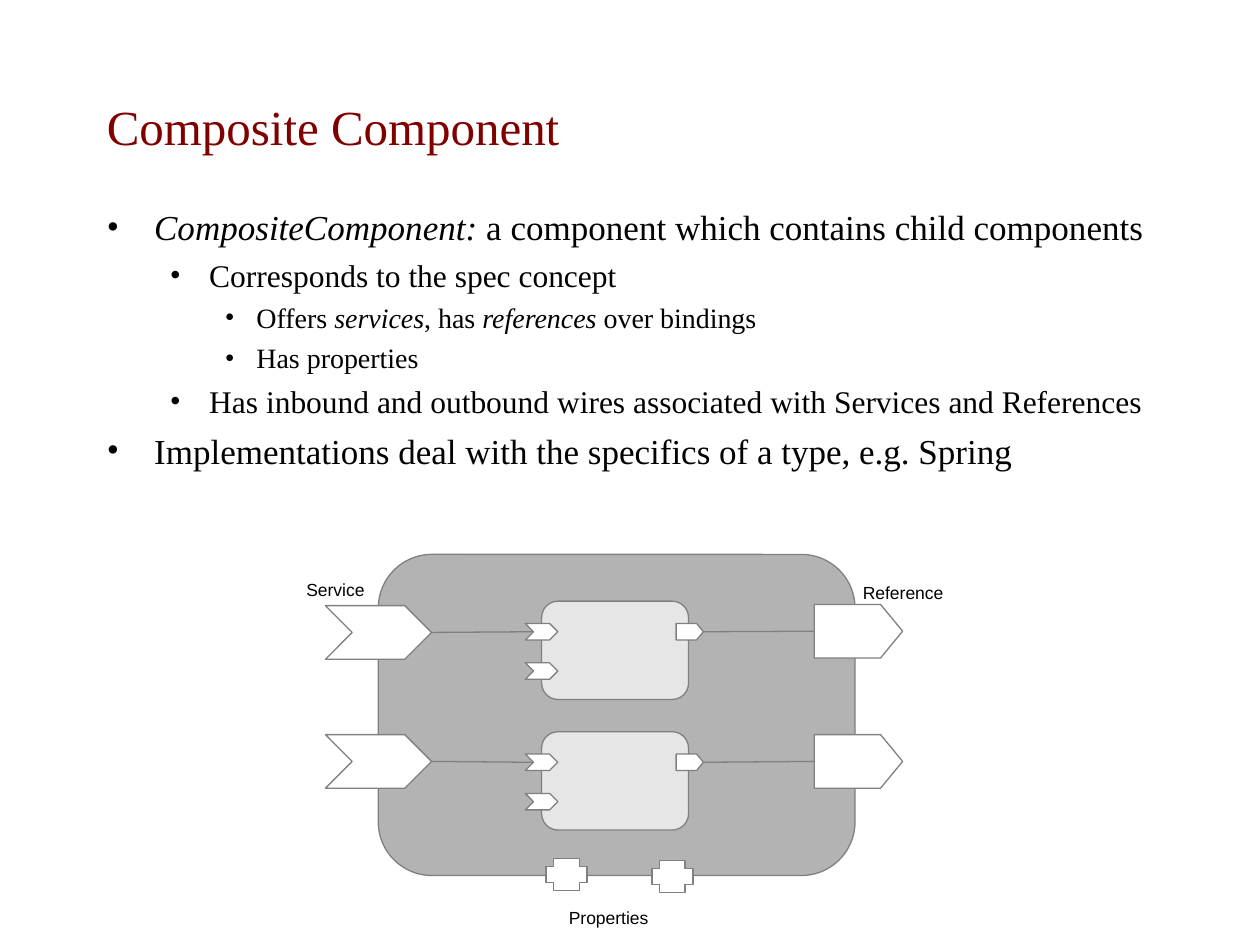
from lxml import etree
from pptx import Presentation
from pptx.dml.color import RGBColor
from pptx.enum.shapes import MSO_CONNECTOR, MSO_SHAPE
from pptx.enum.text import MSO_ANCHOR
from pptx.oxml.ns import qn
from pptx.util import Pt

ROUNDED = MSO_SHAPE.ROUNDED_RECTANGLE
PLUS = MSO_SHAPE.CROSS
STRAIGHT = MSO_CONNECTOR.STRAIGHT
TOP, MIDDLE = MSO_ANCHOR.TOP, MSO_ANCHOR.MIDDLE

BLACK = RGBColor(0x00, 0x00, 0x00)
WHITE = RGBColor(0xFF, 0xFF, 0xFF)
MAROON = RGBColor(0x80, 0x00, 0x00)
OUTLINE = RGBColor(0x80, 0x80, 0x80)
COMPOSITE_GRAY = RGBColor(0xB3, 0xB3, 0xB3)
COMPONENT_GRAY = RGBColor(0xE6, 0xE6, 0xE6)

SERIF, SANS = "Times New Roman", "Arial"

# Per level: left margin, hanging indent, space before, text size
LEVELS = [(27, 27, 5, 20), (58.5, 22.5, 4.5, 18), (85.5, 18, 4, 16)]

# Each bullet is a level and its spans; a span is its text and whether it is italic
BULLETS = [
    (0, [("CompositeComponent:", True),
         (" a component which contains child components", False)]),
    (1, [("Corresponds to the spec concept", False)]),
    (2, [("Offers ", False), ("services", True), (", has ", False),
         ("references", True), (" over bindings", False)]),
    (2, [("Has properties", False)]),
    (1, [("Has inbound and outbound wires associated with Services and References", False)]),
    (0, [("Implementations deal with the specifics of a type, e.g. Spring", False)]),
]


def add_span(para, text, size=10, font=SANS, color=BLACK, italic=False):
    span = para.add_run()
    span.text = text
    span.font.size = Pt(size)
    span.font.name = font
    span.font.color.rgb = color
    span.font.italic = italic


class SlideBuilder:
    def __init__(self, page):
        self.page = page
        self.line_width = Pt(0.75)

    def paint(self, shape, fill):
        shape.shadow.inherit = False
        shape.fill.solid()
        shape.fill.fore_color.rgb = fill
        shape.line.color.rgb = OUTLINE
        shape.line.width = self.line_width

    def frame(self, left, top, width, height, wrap=True, anchor=TOP):
        box = self.page.shapes.add_textbox(Pt(left), Pt(top), Pt(width), Pt(height))
        box.text_frame.word_wrap = wrap
        box.text_frame.vertical_anchor = anchor
        return box.text_frame

    def text(self, text, left, top, width, height, wrap=True, anchor=TOP, **style):
        frame = self.frame(left, top, width, height, wrap, anchor)
        add_span(frame.paragraphs[0], text, **style)

    def bullets(self, items, left, top, width, height):
        frame = self.frame(left, top, width, height)
        for index, (level, spans) in enumerate(items):
            para = frame.add_paragraph() if index else frame.paragraphs[0]
            margin, hanging, before, size = LEVELS[level]
            para.level = level
            if index:
                para.space_before = Pt(before)
            props = para._p.get_or_add_pPr()
            props.set("marL", str(Pt(margin)))
            props.set("indent", str(-Pt(hanging)))
            color = etree.SubElement(props, qn("a:buClr"))
            etree.SubElement(color, qn("a:srgbClr"), val=str(BLACK))
            etree.SubElement(props, qn("a:buFont"), typeface=SERIF)
            etree.SubElement(props, qn("a:buChar"), char="•")
            for text, italic in spans:
                add_span(para, text, size=size, font=SERIF, italic=italic)

    def preset(self, kind, left, top, width, height, fill, adjust, shapes=None):
        shapes = shapes or self.page.shapes
        shape = shapes.add_shape(kind, Pt(left), Pt(top), Pt(width), Pt(height))
        shape.adjustments[0] = adjust
        self.paint(shape, fill)

    def pointer(self, left, top, width, height, tip, notch=0, shapes=None):
        """Draw a right-pointing tag, with an optional notch in its left side."""
        shapes = shapes or self.page.shapes
        right, bottom, middle = left + width, top + height, top + height / 2
        points = [(left, top), (right - tip, top), (right, middle),
                  (right - tip, bottom), (left, bottom)]
        if notch:
            points.append((left + notch, middle))
        points = [(Pt(x), Pt(y)) for x, y in points]
        builder = shapes.build_freeform(*points[0])
        builder.add_line_segments(points[1:], close=True)
        self.paint(builder.convert_to_shape(), WHITE)

    def component(self, top):
        """Draw a child component with two services and one reference."""
        shapes = self.page.shapes.add_group_shape().shapes
        self.preset(ROUNDED, 309.5, top, 84, 56.2, COMPONENT_GRAY, 0.167, shapes)
        for offset in (12.8, 35.3):
            self.pointer(300.2, top + offset, 18.6, 9.4, 4.7, 4.7, shapes)
        self.pointer(386.4, top + 12.8, 15.6, 9.4, 3.9, shapes=shapes)

    def wire(self, x1, y1, x2, y2):
        line = self.page.shapes.add_connector(STRAIGHT, Pt(x1), Pt(y1), Pt(x2), Pt(y2))
        line.line.color.rgb = OUTLINE
        line.line.width = self.line_width
        etree.SubElement(line._element.spPr, qn("a:effectLst"))


def main():
    deck = Presentation()
    deck.slide_width, deck.slide_height = Pt(720), Pt(540)
    builder = SlideBuilder(deck.slides.add_slide(deck.slide_layouts[6]))

    builder.text("Composite Component", 54, 36, 612, 72, anchor=MIDDLE,
                 size=28, font=SERIF, color=MAROON)
    builder.bullets(BULLETS, 54, 114, 612, 348)

    builder.preset(ROUNDED, 216.2, 316.8, 272.4, 183.5, COMPOSITE_GRAY, 0.167)
    service_tops, reference_tops = (346.1, 419.8), (345.4, 419.8)
    for top in service_tops:
        builder.pointer(186, top, 60.6, 30.6, 15.3, 15.3)
    for top in reference_tops:
        builder.pointer(465.3, top, 50.5, 30.6, 12.6)
    for left, top in ((312, 490.7), (372.5, 491.8)):
        builder.preset(PLUS, left, top, 23.5, 18, WHITE, 0.25)

    builder.text("Reference", 486, 329, 60.5, 19.4, wrap=False)
    builder.text("Service", 168, 327.6, 72, 19.4)
    builder.text("Properties", 318, 514.8, 60, 19.4, wrap=False)

    component_tops = (343.5, 418.1)
    for top in component_tops:
        builder.component(top)
    for service, reference, component in zip(service_tops, reference_tops, component_tops):
        port = component + 17.5
        builder.wire(246.6, service + 15.3, 304.9, port)
        builder.wire(402, port, 465.3, reference + 15.3)

    deck.save("out.pptx")


if __name__ == "__main__":
    main()
